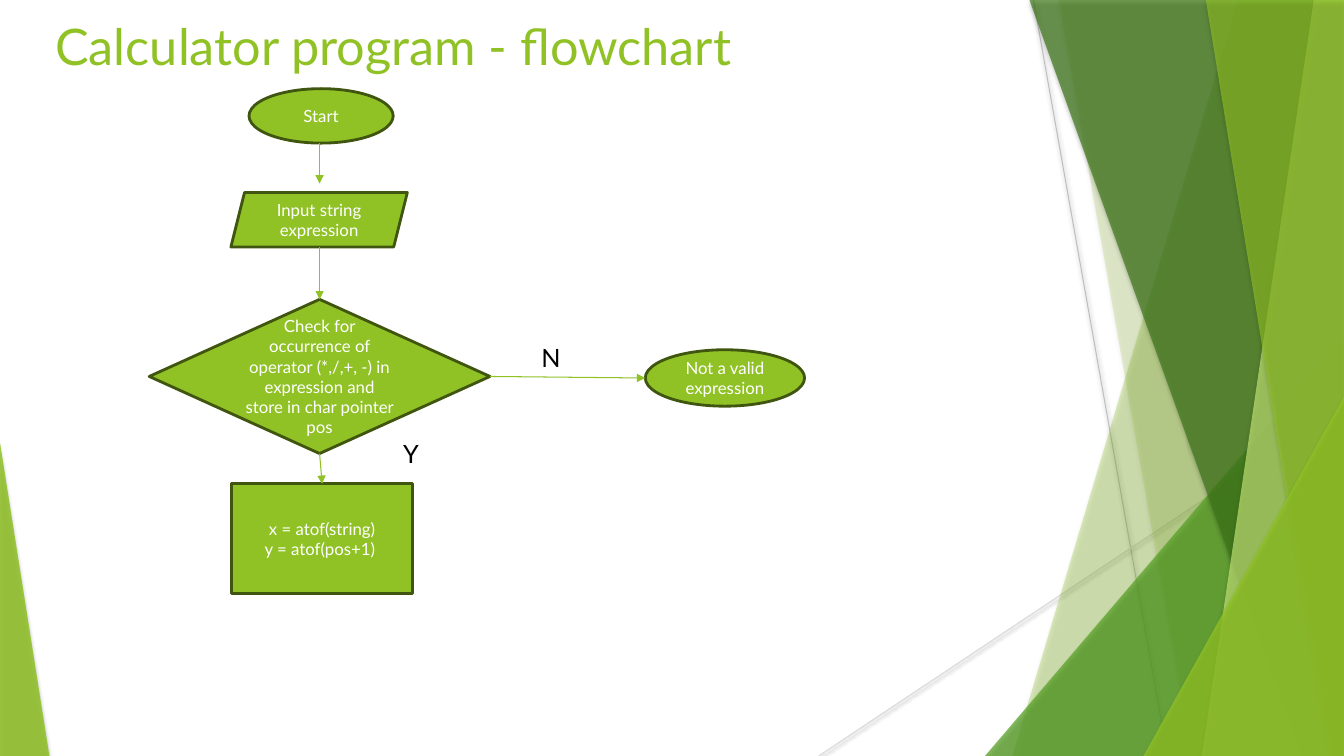
from lxml.etree import SubElement
from pptx import Presentation
from pptx.dml.color import RGBColor
from pptx.enum.shapes import MSO_CONNECTOR, MSO_SHAPE as SHAPE
from pptx.enum.text import MSO_ANCHOR, PP_ALIGN
from pptx.oxml.ns import qn
from pptx.util import Inches, Pt

WIDTH, HEIGHT = 13.33, 7.5
LIME, OLIVE, WHITE, BLACK = "90C226", "3F5510", "FFFFFF", "000000"
FONT = "Lato"

BACK_LINES = [
    ((10.25, 0), (11.58, HEIGHT), "BFBFBF"),
    ((WIDTH, 4.03), (8.12, HEIGHT), "D9D9D9"),
]
RIGHT_TOP, RIGHT_BOTTOM = (WIDTH, 0), (WIDTH, HEIGHT)
FACETS = [
    ([(12.28, 0), RIGHT_TOP, RIGHT_BOTTOM, (10.04, HEIGHT)], LIME, 30),
    ([(10.5, 0), RIGHT_TOP, RIGHT_BOTTOM, (11.82, HEIGHT)], LIME, 20),
    ([(WIDTH, 3.33), RIGHT_BOTTOM, (9.77, HEIGHT)], "54A021", 72),
    ([(10.21, 0), RIGHT_TOP, RIGHT_BOTTOM, (12.91, HEIGHT)], "3F7819", 70),
    ([(13.03, 0), RIGHT_TOP, RIGHT_BOTTOM, (11.92, HEIGHT)], "C0E474", 70),
    ([(11.96, 0), RIGHT_TOP, RIGHT_BOTTOM, (13.18, HEIGHT)], LIME, 65),
    ([(WIDTH, 3.93), RIGHT_BOTTOM, (11.34, HEIGHT)], LIME, 80),
    ([(0, 4.39), (0.49, HEIGHT), (0, HEIGHT)], LIME, 85),
]
STEPS = {
    "start": (SHAPE.OVAL, (2.47, 0.88, 1.43, 0.54), ["Start"]),
    "input": (SHAPE.PARALLELOGRAM, (2.29, 1.91, 1.75, 0.54),
              ["Input string expression"]),
    "check": (SHAPE.FLOWCHART_DECISION, (1.48, 2.97, 3.38, 1.53),
              ["Check for occurrence of operator (*,/,+, -) in expression "
               "and store in char pointer pos"]),
    "invalid": (SHAPE.FLOWCHART_CONNECTOR, (6.4, 3.47, 1.58, 0.56),
                ["Not a valid expression"]),
    "convert": (SHAPE.FLOWCHART_PROCESS, (2.3, 4.8, 1.79, 1.09),
                ["x = atof(string)", "y = atof(pos+1) "]),
}
ARROWS = [
    ((3.17, 1.42), (3.17, 1.82), None, None),
    ((3.17, 2.45), (3.17, 2.97), None, ("check", 0)),
    ((3.17, 4.5), (3.19, 4.8), ("check", 2), ("convert", 0)),
    ((4.86, 3.74), (6.4, 3.75), ("check", 3), None),
]
LABELS = [
    ("Calculator program - flowchart", (0.45, 0.1, 9.37, 0.88), 36, LIME),
    ("N", (5.27, 3.35, 0.75, 0.4), 18, BLACK),
    ("Y", (3.9, 4.3, 0.65, 0.4), 18, BLACK),
]


def color(value):
    return RGBColor.from_string(value)


def inches(values):
    return [Inches(value) for value in values]


def add_alpha(parent, percent):
    SubElement(parent, qn("a:alpha"), val=str(percent * 1000))


def add_shadow(properties, percent, blur, distance):
    effects = SubElement(properties, qn("a:effectLst"))
    shadow = SubElement(effects, qn("a:outerShdw"), blurRad=str(Pt(blur)),
                        dist=str(Pt(distance)), dir="5400000", rotWithShape="0")
    add_alpha(SubElement(shadow, qn("a:srgbClr"), val=BLACK), percent)


def add_line(begin, end, stroke):
    line = slide.shapes.add_connector(MSO_CONNECTOR.STRAIGHT, *inches(begin + end))
    line.line.color.rgb = color(stroke)
    line.line.width = Pt(0.75)
    return line


def add_facet(points, fill, opacity):
    outline = slide.shapes.build_freeform(*inches(points[0]))
    outline.add_line_segments([inches(point) for point in points[1:]], close=True)
    facet = outline.convert_to_shape()
    facet.fill.solid()
    facet.fill.fore_color.rgb = color(fill)
    facet.line.fill.background()
    properties = facet.fill._xPr
    add_alpha(properties.find(f"{qn('a:solidFill')}/{qn('a:srgbClr')}"), opacity)
    add_shadow(properties, 35, 3, 2)


def write(frame, lines, size, ink, align, anchor):
    layout = {"word_wrap": True, "vertical_anchor": anchor}
    for name, value in layout.items():
        setattr(frame, name, value)
    frame.text = "\n".join(lines)
    for paragraph in frame.paragraphs:
        paragraph.alignment = align
        for run in paragraph.runs:
            for name, value in {"name": FONT, "size": Pt(size)}.items():
                setattr(run.font, name, value)
            run.font.color.rgb = color(ink)


def add_step(kind, box, lines):
    step = slide.shapes.add_shape(kind, *inches(box))
    step.shadow.inherit = False
    step.fill.solid()
    step.fill.fore_color.rgb = color(LIME)
    step.line.color.rgb = color(OLIVE)
    step.line.width = Pt(2)
    write(step.text_frame, lines, 12, WHITE, PP_ALIGN.CENTER, MSO_ANCHOR.MIDDLE)
    return step


def add_arrow(begin, end, source, target):
    arrow = add_line(begin, end, LIME)
    if source:
        arrow.begin_connect(steps[source[0]], source[1])
    if target:
        arrow.end_connect(steps[target[0]], target[1])
    SubElement(arrow.line._get_or_add_ln(), qn("a:tailEnd"), type="triangle")
    SubElement(arrow._element.spPr, qn("a:effectLst"))


deck = Presentation()
deck.slide_width, deck.slide_height = inches((WIDTH, HEIGHT))
slide = deck.slides.add_slide(deck.slide_layouts[6])

for begin, end, stroke in BACK_LINES:
    add_shadow(add_line(begin, end, stroke)._element.spPr, 38, 3.1, 1.6)
for facet in FACETS:
    add_facet(*facet)
steps = {key: add_step(*step) for key, step in STEPS.items()}
for arrow in ARROWS:
    add_arrow(*arrow)
for text, box, size, ink in LABELS:
    label = slide.shapes.add_textbox(*inches(box))
    write(label.text_frame, [text], size, ink, PP_ALIGN.LEFT, MSO_ANCHOR.TOP)

deck.save("out.pptx")
